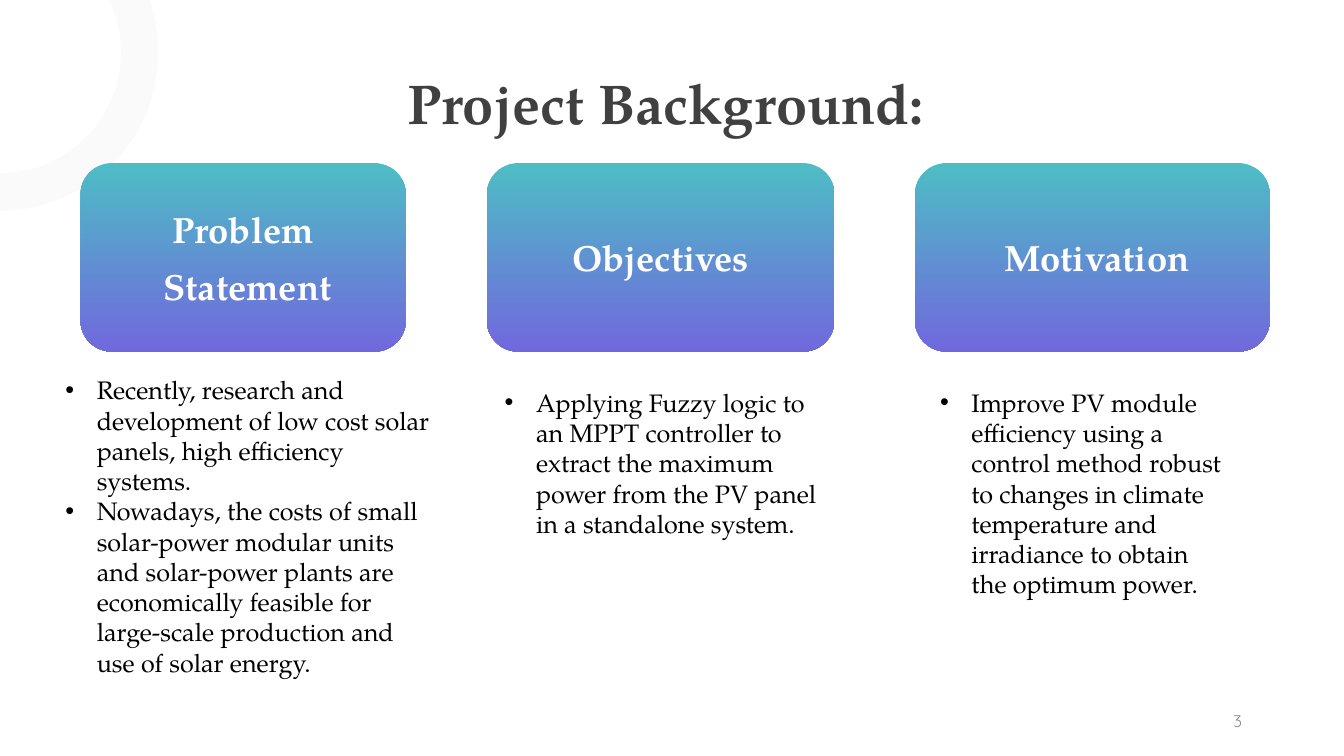
import math
from dataclasses import dataclass

import lxml.etree
import pptx
import pptx.dml.color
import pptx.enum.shapes
import pptx.enum.text
import pptx.oxml.ns
import pptx.util
from pptx.util import Cm

COLORS = {
    "title": "404040",
    "ring": "FAFAFA",
    "card_top": "4DBDC5",
    "card_bottom": "7168DD",
    "card_text": "FFFFFF",
    "body": "000000",
    "number": "8C8C8C",
}
SERIF = "TeX Gyre Pagella"
SANS = "Quicksand"
CARD_TOP, CARD_HEIGHT = 4.11, 4.75
BULLET_INDENT = 0.79
ALIGN = pptx.enum.text.PP_ALIGN
ANCHOR = pptx.enum.text.MSO_ANCHOR


@dataclass(frozen=True)
class Box:
    left: float
    top: float
    width: float
    height: float

    def lengths(self) -> tuple:
        return Cm(self.left), Cm(self.top), Cm(self.width), Cm(self.height)


@dataclass(frozen=True)
class TextStyle:
    size: int
    color: str
    font: str = SERIF
    bold: bool = False
    align: ALIGN = ALIGN.LEFT
    anchor: ANCHOR = ANCHOR.TOP
    space_after: int = 0
    bulleted: bool = False


@dataclass(frozen=True)
class Topic:
    heading: str
    points: str
    card: Box
    body: Box


TITLE = TextStyle(40, "title", bold=True, align=ALIGN.CENTER)
HEADING = TextStyle(26, "card_text", bold=True, align=ALIGN.CENTER,
                    anchor=ANCHOR.MIDDLE, space_after=9)
BODY = TextStyle(18, "body", bulleted=True)
NUMBER = TextStyle(12, "number", font=SANS, align=ALIGN.RIGHT, anchor=ANCHOR.MIDDLE)

TOPICS = [
    Topic(
        "Problem\n Statement",
        "Recently, research and development of low cost solar panels, "
        "high efficiency systems.\n"
        "Nowadays, the costs of small solar-power modular units and solar-power "
        "plants are economically feasible for large-scale production and use of "
        "solar energy.",
        Box(2.03, CARD_TOP, 8.2, CARD_HEIGHT),
        Box(1.4, 9.32, 9.83, 7.95),
    ),
    Topic(
        "Objectives",
        "Applying Fuzzy logic to an MPPT controller to extract the maximum power "
        "from the PV panel in a standalone system.",
        Box(12.27, CARD_TOP, 8.76, CARD_HEIGHT),
        Box(12.47, 9.63, 8.41, 5.64),
    ),
    Topic(
        " Motivation",
        "Improve PV module efficiency using a control method robust to changes in "
        "climate temperature and irradiance to obtain the optimum power.",
        Box(23.06, CARD_TOP, 8.94, CARD_HEIGHT),
        Box(23.44, 9.63, 7.72, 6.4),
    ),
]


def rgb(name: str) -> pptx.dml.color.RGBColor:
    return pptx.dml.color.RGBColor.from_string(COLORS[name])


def add_bullet(paragraph) -> None:
    properties = paragraph._p.get_or_add_pPr()
    properties.set("marL", str(Cm(BULLET_INDENT)))
    properties.set("indent", str(-Cm(BULLET_INDENT)))
    qualified = pptx.oxml.ns.qn
    lxml.etree.SubElement(properties, qualified("a:buFont")).set("typeface", "Arial")
    lxml.etree.SubElement(properties, qualified("a:buChar")).set("char", "•")


def write_text(shape, text: str, style: TextStyle) -> None:
    frame = shape.text_frame
    frame.word_wrap = True
    frame.vertical_anchor = style.anchor
    frame.text = text
    for paragraph in frame.paragraphs:
        if style.bulleted:
            add_bullet(paragraph)
        paragraph.alignment = style.align
        paragraph.space_after = pptx.util.Pt(style.space_after)
        for run in paragraph.runs:
            run.font.name = style.font
            run.font.size = pptx.util.Pt(style.size)
            run.font.bold = style.bold
            run.font.color.rgb = rgb(style.color)


def add_text(slide, box: Box, text: str, style: TextStyle) -> None:
    write_text(slide.shapes.add_textbox(*box.lengths()), text, style)


def add_card(slide, box: Box, heading: str) -> None:
    card = slide.shapes.add_shape(
        pptx.enum.shapes.MSO_SHAPE.ROUNDED_RECTANGLE, *box.lengths())
    card.shadow.inherit = False
    card.line.fill.background()
    card.fill.gradient()
    card.fill.gradient_angle = 270
    for stop, color, position in zip(
            card.fill.gradient_stops, ("card_top", "card_bottom"), (0, 1)):
        stop.color.rgb = rgb(color)
        stop.position = position
    write_text(card, heading, HEADING)


def arc_points(radius: float, center_y: float, steps: int = 60) -> list:
    start = -math.asin(center_y / radius)
    angles = [start + (math.pi / 2 - start) * step / steps for step in range(steps + 1)]
    return [(Cm(radius * math.cos(angle)), Cm(center_y + radius * math.sin(angle)))
            for angle in angles]


def add_corner_ring(slide, center_y: float, outer: float, inner: float) -> None:
    points = arc_points(outer, center_y) + arc_points(inner, center_y)[::-1]
    builder = slide.shapes.build_freeform(*points[0])
    builder.add_line_segments(points[1:], close=True)
    ring = builder.convert_to_shape()
    ring.shadow.inherit = False
    ring.fill.solid()
    ring.fill.fore_color.rgb = rgb("ring")
    ring.line.fill.background()


def main() -> None:
    presentation = pptx.Presentation()
    presentation.slide_width = Cm(33.87)
    presentation.slide_height = Cm(19.05)
    slide = presentation.slides.add_slide(presentation.slide_layouts[6])

    add_corner_ring(slide, center_y=1.32, outer=3.99, inner=3.05)
    add_text(slide, Box(8.96, 1.6, 15.62, 1.96), "Project Background:", TITLE)
    for topic in TOPICS:
        add_card(slide, topic.card, topic.heading)
        add_text(slide, topic.body, topic.points, BODY)
    add_text(slide, Box(23.93, 17.65, 7.62, 1.02), "3", NUMBER)

    presentation.save("out.pptx")


if __name__ == "__main__":
    main()
